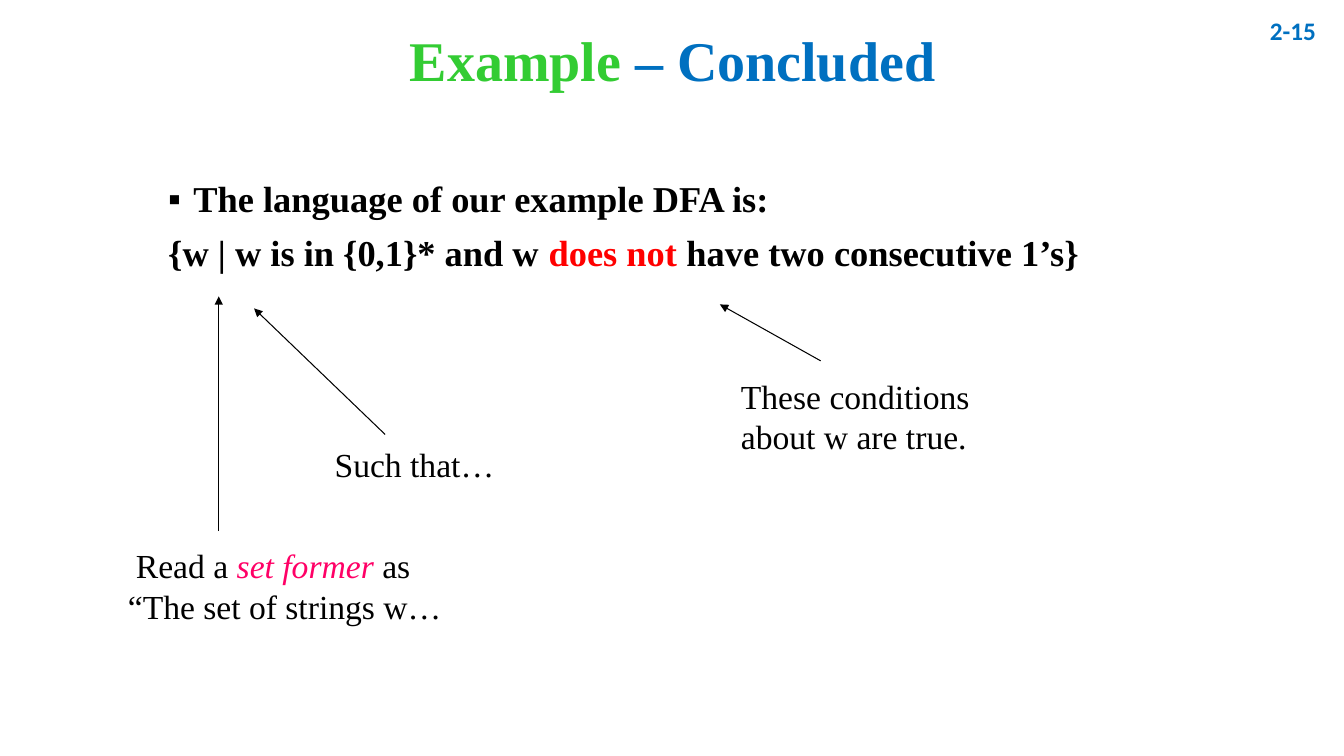
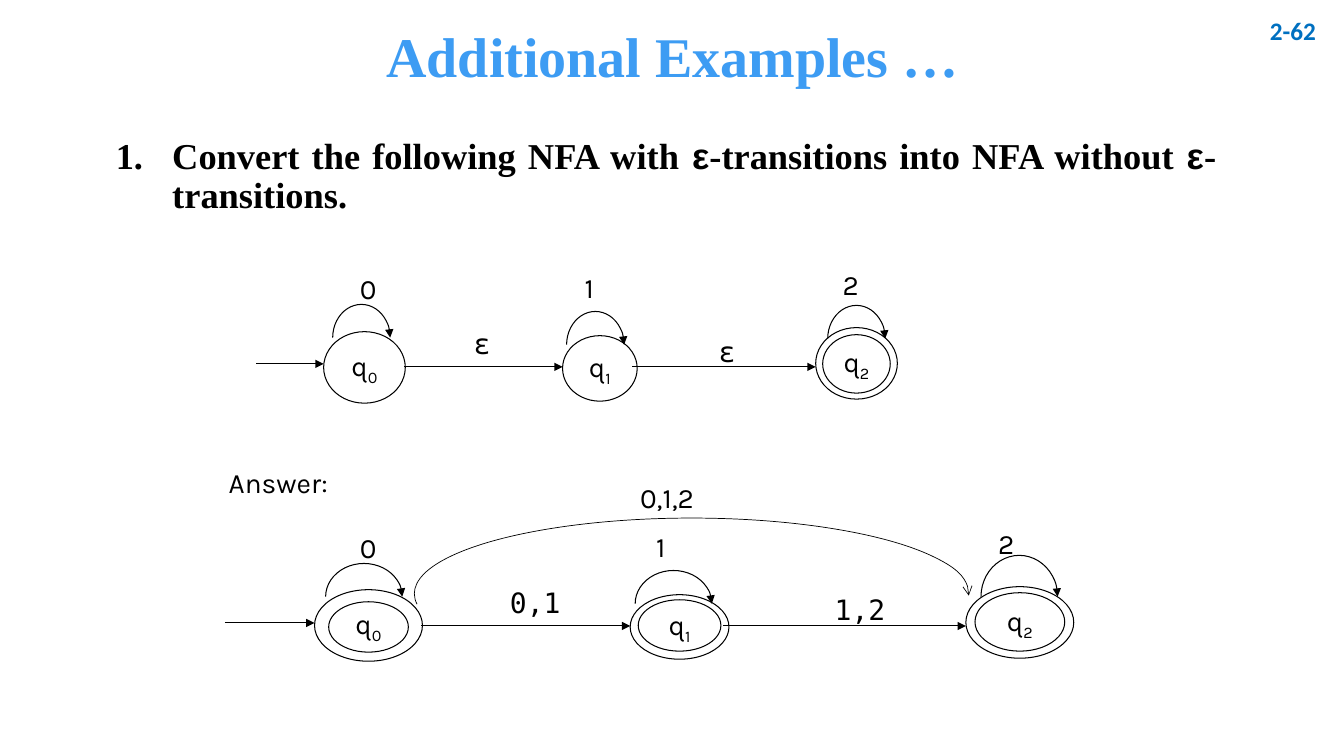
from dataclasses import dataclass
from typing import NamedTuple, Optional

from lxml.etree import SubElement
from pptx import Presentation
from pptx.dml.color import RGBColor
from pptx.enum.shapes import MSO_CONNECTOR, MSO_SHAPE
from pptx.enum.text import MSO_ANCHOR, PP_ALIGN
from pptx.oxml.ns import qn
from pptx.util import Emu, Pt

PX = 9144  # EMU in one px, 100 px to the inch

SERIF, SANS, MONO = "Times New Roman", "Karla", "DejaVu Sans Mono"
SYMBOL = "Arial"
BLACK, BLUE, SKY = "000000", "0070C0", "3D9CF3"
GREEN, RED, PINK = "33CC33", "FF0000", "FF0066"


class Box(NamedTuple):
    x: int
    y: int
    w: int
    h: int


class Run(NamedTuple):
    text: str
    size: int = 24
    font: str = SERIF
    color: str = BLACK
    bold: bool = False
    italic: bool = False
    baseline: int = 0


@dataclass
class Label:
    text: str
    x: int
    y: int
    w: int = 35
    font: str = SANS


@dataclass
class State:
    index: int
    outer: Box
    inner: Optional[Box] = None


@dataclass
class Automaton:
    states: list[State]
    arrows: list[tuple[int, int, int]]  # start x, end x, y
    loops: list[Box]  # the upper half of each box's ellipse is the loop
    labels: list[Label]


def emu(*lengths: int) -> list[Emu]:
    return [Emu(n * PX) for n in lengths]


def rgb(value: str) -> RGBColor:
    return RGBColor.from_string(value)


def add_runs(p, runs: list[Run]) -> None:
    for run in runs:
        r = p.add_run()
        r.text = run.text
        font = r.font
        font.size, font.name = Pt(run.size), run.font
        font.bold, font.italic = run.bold, run.italic
        font.color.rgb = rgb(run.color)
        if run.baseline:
            r._r.get_or_add_rPr().set("baseline", str(run.baseline * 1000))


def add_text(s, box: Box, paragraphs: list[list[Run]], wrap: bool = True):
    tf = s.shapes.add_textbox(*emu(*box)).text_frame
    tf.word_wrap = wrap
    for i, runs in enumerate(paragraphs):
        p = tf.add_paragraph() if i else tf.paragraphs[0]
        add_runs(p, runs)
    return tf


def set_indent(p, margin: int, first: int = 0) -> None:
    pPr = p._p.get_or_add_pPr()
    pPr.set("marL", str(margin * PX))
    pPr.set("indent", str(first * PX))


def format_body(p, margin: int, hanging: int, font: str = SERIF,
                tag: str = "", **bullet: str) -> None:
    """Justify a body paragraph and give it a bullet element if one is named."""
    set_indent(p, margin, -hanging)
    if tag:
        pPr = p._p.get_or_add_pPr()
        SubElement(pPr, qn("a:buFont"), typeface=font)
        SubElement(pPr, qn(tag), bullet)
    p.alignment = PP_ALIGN.JUSTIFY
    p.line_spacing = 0.9


def set_outline(sp, width: float = 0.75, head: str = "") -> None:
    sp.line.color.rgb = rgb(BLACK)
    sp.line.width = Pt(width)
    if head:
        SubElement(sp._element.spPr.find(qn("a:ln")), qn("a:tailEnd"), type=head)


def add_arrow(s, x1: int, y1: int, x2: int, y2: int) -> None:
    line = s.shapes.add_connector(MSO_CONNECTOR.STRAIGHT, *emu(x1, y1, x2, y2))
    set_outline(line, head="triangle")
    SubElement(line._element.spPr, qn("a:effectLst"))


def add_outline_shape(s, kind: MSO_SHAPE, box: Box):
    sp = s.shapes.add_shape(kind, *emu(*box))
    sp.shadow.inherit = False
    sp.fill.background()
    return sp


def add_arc(s, box: Box, start: float = 180, end: float = 0,
            width: float = 0.75, head: str = "triangle") -> None:
    arc = add_outline_shape(s, MSO_SHAPE.ARC, box)
    for i, degrees in enumerate((start, end)):
        arc.adjustments[i] = degrees * 0.6  # 60000 units a degree
    set_outline(arc, width, head)


def add_state(s, state: State) -> None:
    for box in filter(None, (state.inner, state.outer)):
        sp = add_outline_shape(s, MSO_SHAPE.OVAL, box)
        set_outline(sp)
    tf = sp.text_frame
    tf.word_wrap = False
    tf.vertical_anchor = MSO_ANCHOR.MIDDLE
    p = tf.paragraphs[0]
    p.alignment = PP_ALIGN.CENTER
    add_runs(p, [Run("q", 20, SANS), Run(str(state.index), 20, SANS, baseline=-24)])


def add_automaton(s, a: Automaton) -> None:
    for state in a.states:
        add_state(s, state)
    for x1, x2, y in a.arrows:
        add_arrow(s, x1, y, x2, y)
    for box in a.loops:
        add_arc(s, box)
    for b in a.labels:
        add_text(s, Box(b.x, b.y, b.w, 44), [[Run(b.text, 20, b.font)]], wrap=False)


def add_slide(prs, number: str, title_box: Box, title: list[tuple[str, str]]):
    """Add a slide with its page number and a title of (text, colour) parts."""
    s = prs.slides.add_slide(prs.slide_layouts[5])
    sp = s.shapes.title
    sp.left, sp.top, sp.width, sp.height = emu(*title_box)
    sp.text_frame.vertical_anchor = MSO_ANCHOR.MIDDLE
    p = sp.text_frame.paragraphs[0]
    p.alignment = PP_ALIGN.CENTER
    p.line_spacing = 0.9
    add_runs(p, [Run(text, 40, color=color, bold=True) for text, color in title])

    tf = add_text(s, Box(1226, 0, 89, 60), [[Run(number, 18, "Calibri", BLUE, True)]])
    tf.vertical_anchor = MSO_ANCHOR.MIDDLE
    tf.paragraphs[0].alignment = PP_ALIGN.RIGHT
    return s


def body_run(text: str, color: str = BLACK, font: str = SERIF) -> Run:
    return Run(text, 26, font, color, bold=True)


def build_language_slide(prs) -> None:
    s = add_slide(prs, "2-15", Box(157, 0, 1020, 125),
                  [("Example", GREEN), (" – Concluded", BLUE)])
    tf = add_text(s, Box(157, 175, 1020, 480), [
        [body_run("The language of our example DFA is:")],
        [body_run("{w | w is in {0,1}* and w "), body_run("does not ", RED),
         body_run("have two consecutive 1’s}")],
    ])
    intro, language = tf.paragraphs
    format_body(intro, 25, 25, SYMBOL, "a:buChar", char="▪")
    format_body(language, 25, 25)
    language.space_before = Pt(10)

    tf = add_text(s, Box(117, 536, 331, 91), [
        [Run("Read a "), Run("set former", color=PINK, italic=True), Run(" as")],
        [Run("“The set of strings w…")],
    ], wrap=False)
    set_indent(tf.paragraphs[0], 8)
    add_text(s, Box(322, 435, 178, 50), [[Run("Such that…")]], wrap=False)
    add_text(s, Box(725, 368, 275, 91),
             [[Run("These conditions")], [Run("about w are true.")]])
    for ends in ((217, 527, 217, 294), (382, 431, 252, 306), (814, 358, 714, 302)):
        add_arrow(s, *ends)


EPSILON_NFA = Automaton(
    states=[State(0, Box(321, 329, 81, 71)),
            State(1, Box(558, 333, 74, 65)),
            State(2, Box(809, 325, 81, 71), Box(816, 332, 67, 58))],
    arrows=[(254, 321, 361), (401, 558, 364), (627, 809, 364)],
    loops=[Box(330, 302, 57, 66), Box(562, 309, 57, 66), Box(821, 303, 57, 66)],
    labels=[Label("0", 347, 264), Label("1", 570, 263), Label("2", 826, 260),
            Label("ε", 460, 319, font=MONO), Label("ε", 703, 327, font=MONO)],
)

PLAIN_NFA = Automaton(
    states=[State(0, Box(312, 585, 107, 71), Box(326, 597, 79, 50)),
            State(1, Box(625, 590, 98, 64), Box(633, 595, 82, 51)),
            State(2, Box(958, 582, 107, 71), Box(967, 588, 89, 58))],
    arrows=[(223, 312, 618), (418, 625, 621), (717, 958, 621)],
    loops=[Box(323, 559, 76, 66), Box(630, 566, 76, 66), Box(973, 551, 76, 82)],
    labels=[Label("0", 347, 521), Label("1", 641, 520), Label("2", 980, 517),
            Label("0,1", 496, 576, 80, MONO), Label("1,2", 818, 583, 80, MONO),
            Label("0,1,2", 625, 472, 82), Label("Answer:", 217, 457, 120)],
)


def build_conversion_slide(prs) -> None:
    s = add_slide(prs, "2-62", Box(92, 5, 1150, 108), [("Additional Examples …", SKY)])
    epsilon = body_run("ε", font=SYMBOL)
    tf = add_text(s, Box(92, 132, 1124, 100), [[
        body_run("Convert the following NFA with "), epsilon,
        body_run("-transitions into NFA without "), epsilon,
        body_run("-transitions."),
    ]])
    format_body(tf.paragraphs[0], 69, 56, SERIF, "a:buAutoNum", type="arabicPeriod")
    for automaton in (EPSILON_NFA, PLAIN_NFA):
        add_automaton(s, automaton)
    add_arc(s, Box(411, 514, 550, 150), 177.8, 0.4, 0.5, "arrow")


def main() -> None:
    prs = Presentation()
    prs.slide_width, prs.slide_height = emu(1333, 750)
    build_language_slide(prs)
    build_conversion_slide(prs)
    prs.save("out.pptx")


if __name__ == "__main__":
    main()
